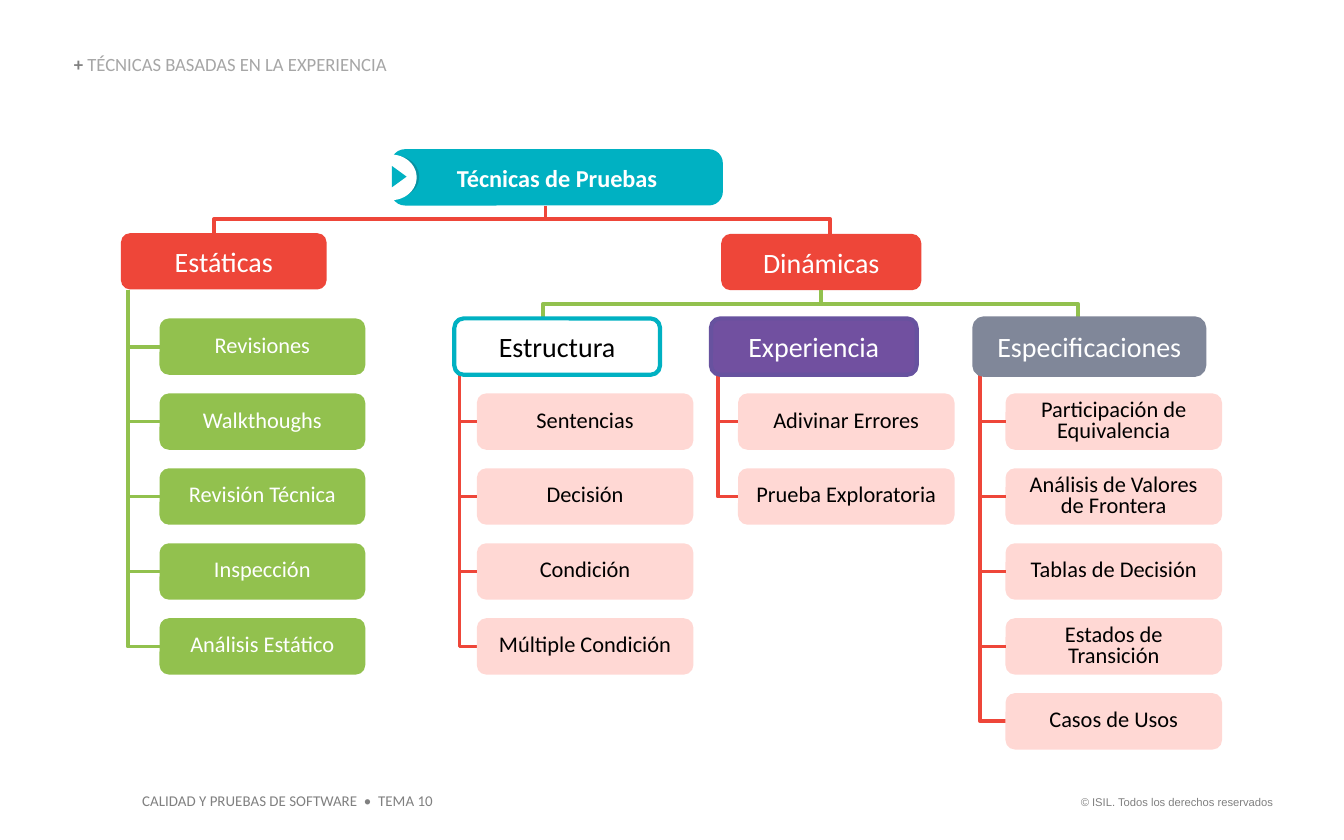
from lxml import etree
from pptx import Presentation
from pptx.dml.color import RGBColor
from pptx.enum import shapes, text
from pptx.oxml import ns
from pptx.util import Pt

RED, GREEN, TEAL, PINK = "EE4639", "92C14E", "00B1C2", "FFD8D4"
WHITE, BLACK, GRAY = "FFFFFF", "000000", "808080"
ROW_TOP, ROW_PITCH, BOX_HEIGHT = 170.6, 40.15, 30.2
LINE_WIDTH = 2
ROUND_RECT = shapes.MSO_SHAPE.ROUNDED_RECTANGLE


def color(value):
    return RGBColor.from_string(value)


def add_text(shape, content, size=12, fill=WHITE, bold=False, font="Calibri",
             align=text.PP_ALIGN.CENTER, spacing=None):
    paragraph = shape.text_frame.paragraphs[0]
    paragraph.alignment = align
    paragraph.space_before = Pt(0)
    if spacing:
        paragraph.line_spacing = spacing
    run = paragraph.add_run()
    run.text = content
    run.font.size = Pt(size)
    run.font.name = font
    run.font.bold = bold
    run.font.color.rgb = color(fill)


def add_box(slide, left, top, width, height, fill=None, outline=None,
            kind=ROUND_RECT, corner=0.167):
    shape = slide.shapes.add_shape(kind, Pt(left), Pt(top), Pt(width), Pt(height))
    shape.shadow.inherit = False
    if kind == ROUND_RECT:
        shape.adjustments[0] = corner
    if fill:
        shape.fill.solid()
        shape.fill.fore_color.rgb = color(fill)
    else:
        shape.fill.background()
    if outline:
        shape.line.color.rgb = color(outline)
        shape.line.width = Pt(2.25)
    else:
        shape.line.fill.background()
    shape.text_frame.word_wrap = True
    shape.text_frame.vertical_anchor = text.MSO_ANCHOR.MIDDLE
    return shape


def add_line(slide, start, end, stroke):
    line = slide.shapes.add_connector(
        shapes.MSO_CONNECTOR.STRAIGHT, *(Pt(value) for value in start + end))
    line.line.color.rgb = color(stroke)
    line.line.width = Pt(LINE_WIDTH)
    etree.SubElement(line._element.spPr, ns.qn("a:effectLst"))
    return line


def add_path(slide, points, stroke):
    points = [(Pt(x), Pt(y)) for x, y in points]
    builder = slide.shapes.build_freeform(*points[0], scale=1.0)
    builder.add_line_segments(points[1:], close=False)
    path = builder.convert_to_shape()
    path.shadow.inherit = False
    path.fill.background()
    path.line.color.rgb = color(stroke)
    path.line.width = Pt(LINE_WIDTH)


def add_header(slide, label, left, top, width, fill, outline=None, ink=WHITE):
    header = add_box(slide, left, top, width, BOX_HEIGHT, fill, outline)
    add_text(header, label, size=15, fill=ink)
    return header


def add_branch(slide, labels, trunk, trunk_top, left, width, first_row, fill, ink, stroke):
    tops = [ROW_TOP + ROW_PITCH * (first_row + i) for i in range(len(labels))]
    middles = [top + BOX_HEIGHT / 2 for top in tops]
    add_path(slide, [(trunk, trunk_top), (trunk, middles[-1]), (left, middles[-1])], stroke)
    for i, (label, top, middle) in enumerate(zip(labels, tops, middles)):
        box = add_box(slide, left, top, width, BOX_HEIGHT, fill)
        add_text(box, label, fill=ink, spacing=0.8)
        if i < len(labels) - 1:
            line = add_line(slide, (trunk, middle), (left, middle), stroke)
            line.end_connect(box, 1)


def add_bracket(slide, left, right, bar, bottom, stroke):
    add_path(slide, [(left, bottom), (left, bar), (right, bar), (right, bottom)], stroke)


def add_root(slide):
    root = add_box(slide, 209.5, 79.9, 177.8, BOX_HEIGHT, TEAL, corner=0.248)
    add_text(root, "Técnicas de Pruebas", size=13, bold=True)
    oval = shapes.MSO_SHAPE.OVAL
    add_box(slide, 199.4, 83.5, 25.2, 22.3, "0792A2", kind=oval)
    add_box(slide, 195.8, 82.8, 27.4, 24.5, WHITE, kind=oval)
    arrow = add_box(slide, 208.1, 90.7, 11.5, 7.9, TEAL,
                    kind=shapes.MSO_SHAPE.ISOSCELES_TRIANGLE)
    arrow.rotation = 90


def add_footer(slide, content, left, top, width, height, **style):
    box = slide.shapes.add_textbox(Pt(left), Pt(top), Pt(width), Pt(height))
    box.text_frame.word_wrap = False
    add_text(box, content, fill=GRAY, **style)


def add_title(slide):
    title = slide.shapes.title
    title.left, title.top, title.width, title.height = Pt(39.6), Pt(29.5), Pt(260), Pt(10.8)
    frame = title.text_frame
    frame.margin_left = frame.margin_right = frame.margin_top = frame.margin_bottom = 0
    frame.vertical_anchor = text.MSO_ANCHOR.BOTTOM
    frame.auto_size = text.MSO_AUTO_SIZE.NONE
    style = dict(size=10, align=text.PP_ALIGN.LEFT, spacing=0.9)
    add_text(title, "+ ", fill=GRAY, bold=True, **style)
    add_text(title, "TÉCNICAS BASADAS EN LA EXPERIENCIA", fill="A6A6A6", **style)


def main():
    presentation = Presentation()
    presentation.slide_width, presentation.slide_height = Pt(720), Pt(450)
    slide = presentation.slides.add_slide(presentation.slide_layouts[5])
    add_title(slide)
    add_footer(slide, "© ISIL. Todos los derechos reservados", 567.4, 422.6, 121.7, 14.4,
               size=6, font="Arial", align=text.PP_ALIGN.RIGHT)
    add_footer(slide, "CALIDAD Y PRUEBAS DE SOFTWARE  •  TEMA 10", 69.1, 420.5, 170.6, 17.3,
               size=8, align=text.PP_ALIGN.LEFT)

    add_line(slide, (292.3, 110.1), (292.3, 117.4), RED)
    add_bracket(slide, 114.7, 444.8, 117.4, 125.6, RED)
    add_root(slide)
    add_header(slide, "Estáticas", 64.8, 124.9, 110.2, RED)
    dynamic = add_header(slide, "Dinámicas", 386.4, 125.3, 107.2, RED)
    stub = add_line(slide, (440, 155.5), (440, 162.7), GREEN)
    stub.begin_connect(dynamic, 2)
    add_bracket(slide, 290.9, 577.4, 162.7, ROW_TOP, GREEN)

    static_labels = ["Revisiones", "Walkthoughs", "Revisión Técnica", "Inspección",
                     "Análisis Estático"]
    add_branch(slide, static_labels, 68.4, 155.1, 85.5, 110.2, 0, GREEN, WHITE, GREEN)

    groups = [
        ("Estructura", 243.4, 110.2, None, TEAL, BLACK, 246.2, 255.5,
         ["Sentencias", "Decisión", "Condición", "Múltiple Condición"]),
        ("Experiencia", 380.9, 110.2, "7150A0", "67529F", WHITE, 384.5, 395.4,
         ["Adivinar Errores", "Prueba Exploratoria"]),
        ("Especificaciones", 522, 123.1, "808799", "808799", WHITE, 525.2, 538.7,
         ["Participación de Equivalencia", "Análisis de Valores de Frontera",
          "Tablas de Decisión", "Estados de Transición", "Casos de Usos"]),
    ]
    for label, left, width, fill, outline, ink, trunk, box_left, labels in groups:
        add_branch(slide, labels, trunk, ROW_TOP + BOX_HEIGHT, box_left, 116, 1,
                   PINK, BLACK, RED)
        add_header(slide, label, left, ROW_TOP, width, fill, outline, ink)

    presentation.save("out.pptx")


if __name__ == "__main__":
    main()
